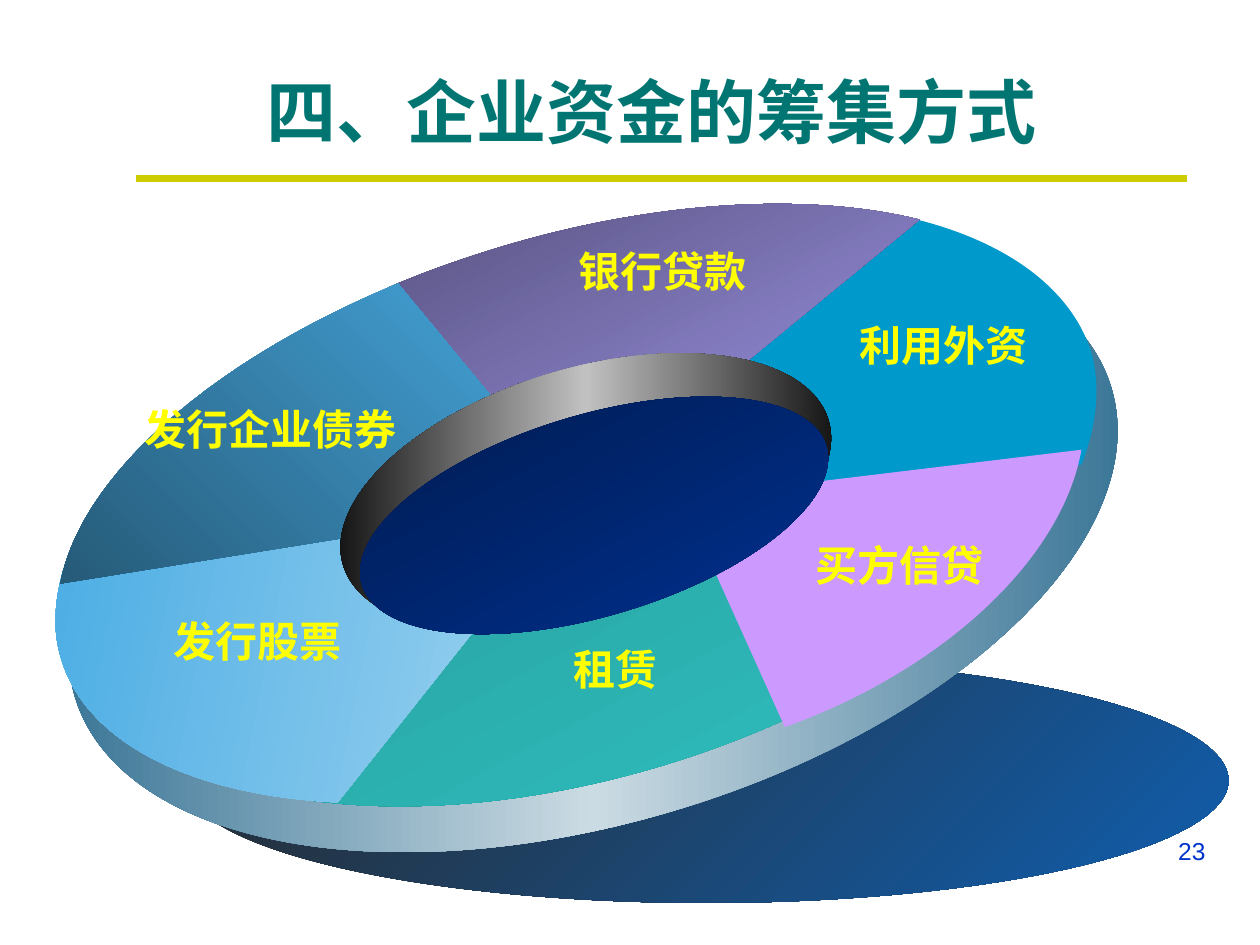
from copy import deepcopy
from math import cos, radians, sin
from pptx import Presentation
from pptx.dml.color import RGBColor as RGB
from pptx.enum.shapes import MSO_CONNECTOR as Link, MSO_SHAPE as Form
from pptx.enum.text import MSO_ANCHOR as Anchor, PP_ALIGN as Align
from pptx.oxml.ns import qn
from pptx.util import Pt

TEAL = RGB(0x00, 0x75, 0x72)
OLIVE = RGB(0xCC, 0xCC, 0x00)
BLUE = RGB(0x00, 0x33, 0xCC)
YELLOW = RGB(0xFF, 0xFF, 0x00)
CYAN = RGB(0x00, 0x99, 0xCC)
PINK = RGB(0xCC, 0x99, 0xFF)
SHADE = RGB(0x29, 0x29, 0x29), RGB(0x10, 0x5E, 0xAE)
STEEL = RGB(0x29, 0x69, 0x8D), RGB(0xCB, 0xDB, 0xE3), RGB(0x29, 0x69, 0x8D)
GREEN = RGB(0x20, 0x82, 0x82), RGB(0x33, 0xCC, 0xCC)
SKY = RGB(0xAB, 0xD9, 0xF2), RGB(0x47, 0xAB, 0xE3)
PURPLE = RGB(0x4F, 0x4A, 0x73), RGB(0xAA, 0xA0, 0xF8)
DEEP = RGB(0x47, 0xAB, 0xE3), RGB(0x21, 0x4F, 0x69)
METAL = RGB(0x00, 0x00, 0x00), RGB(0xC1, 0xC1, 0xC1), RGB(0x00, 0x00, 0x00)
NAVY = RGB(0x00, 0x18, 0x47), RGB(0x00, 0x33, 0x99)

TILT = 343.4
HUB = (300, 172)
SECTORS = [
    (CYAN, 0, HUB, [(490, 10.5), (545, 23.5), (582, 51), (593.5, 87),
                    (599, 106), (597, 128.5), (588, 151.5)]),
    (SKY, 191, HUB, [(6.5, 210.5), (1, 229.5), (0, 246.5), (5, 262.5),
                     (19, 309.5), (78, 340.5), (163, 344.5)]),
    (PURPLE, 62, HUB, [(192.5, 50), (213.5, 41), (235, 33.5), (256.5, 27),
                       (343, 1), (431, -4.5), (495.5, 11.5)]),
    (DEEP, 135, HUB, [(197.5, 48), (91, 92), (16, 158), (4.5, 219.5)]),
    (PINK, 0, (359.5, 170.5), [(588, 143), (577, 205), (510, 268.5), (418.5, 301.5)]),
]
LABELS = [
    ("发行企业债券 ", 127.5, 131), ("银行贷款", 348.5, 40.5), ("利用外资 ", 512, 83),
    ("买方信贷 ", 487, 208.5), ("租赁 ", 324.5, 268), ("发行股票 ", 120, 252),
]


def paint(shape, tint, angle=0):
    """Fill a shape with one colour or an evenly spaced gradient, clockwise angle."""
    shape.shadow.inherit = False
    shape.line.fill.background()
    fill = shape.fill
    if isinstance(tint, RGB):
        fill.solid()
        fill.fore_color.rgb = tint
        return
    fill.gradient()
    fill.gradient_angle = (360 - angle) % 360
    grad = shape._element.spPr.find(qn("a:gradFill"))
    grad.set("rotWithShape", "0")
    stops = grad.find(qn("a:gsLst"))
    for _ in tint[2:]:
        stops.append(deepcopy(stops[0]))
    for n, (stop, hue) in enumerate(zip(fill.gradient_stops, tint)):
        stop.position = n / (len(tint) - 1)
        stop.color.rgb = hue


def write(slide, box, text, size, color, font="Arial", bold=False, align=Align.CENTER):
    """Place one line of text in a box and return its frame."""
    frame = slide.shapes.add_textbox(*map(Pt, box)).text_frame
    frame.word_wrap = True
    para = frame.paragraphs[0]
    para.text = text
    para.alignment = align
    face = para.font
    face.name, face.size, face.bold = font, Pt(size), bold
    face.color.rgb = color
    return frame


def oval(slide, left, top, part, tint, angle=0, turn=TILT):
    """Draw an ellipse relative to the ring's corner."""
    x, y, wide, high = part
    shape = slide.shapes.add_shape(Form.OVAL, Pt(left + x), Pt(top + y), Pt(wide), Pt(high))
    shape.rotation = turn
    paint(shape, tint, angle)


def spin(point, angle):
    """Turn a point clockwise about the origin."""
    x, y = point
    c, s = cos(radians(angle)), sin(radians(angle))
    return x * c - y * s, x * s + y * c


def bend(shape, count):
    """Join each three of the first segments into one cubic curve."""
    path = shape._element.spPr.find(".//" + qn("a:path"))
    lines = path.findall(qn("a:lnTo"))[:count]
    for n in range(0, count, 3):
        cubic = path.makeelement(qn("a:cubicBezTo"), {})
        lines[n].addprevious(cubic)
        for line in lines[n:n + 3]:
            cubic.append(line[0])
            path.remove(line)


def sector(slide, left, top, tint, angle, hub, knots):
    """Draw a tilted ring sector from its outer curve to the hub."""
    flat = [spin(p, -TILT) for p in knots + [hub]]
    mid = [(min(axis) + max(axis)) / 2 for axis in zip(*flat)]
    x, y = spin(mid, TILT)
    first, *rest = [(Pt(left + x + a - mid[0]), Pt(top + y + b - mid[1])) for a, b in flat]
    path = slide.shapes.build_freeform(*first)
    path.add_line_segments(rest, close=True)
    shape = path.convert_to_shape()
    bend(shape, len(knots) - 1)
    shape.rotation = TILT
    paint(shape, tint, angle)


def label(slide, left, top, text, x, y):
    """Write a sector label centred on a point."""
    pad = 13 if text.endswith(" ") else 0
    wide = 24 * len(text.strip()) + 2 * pad
    frame = write(slide, (left + x - wide / 2, top + y - 18, wide, 36), text, 24, YELLOW,
                  "Noto Sans CJK SC", True)
    frame.word_wrap = False
    frame.margin_left = frame.margin_right = Pt(7.2 if pad else 0)


def header(slide, left, top, wide, high):
    """Write the title with the rule below it."""
    frame = write(slide, (left, top, wide, high), "四、企业资金的筹集方式", 40, TEAL, bold=True)
    frame.vertical_anchor = Anchor.MIDDLE
    y = Pt(top + high + 6)
    rule = slide.shapes.add_connector(Link.STRAIGHT, Pt(left + 42), y, Pt(left + wide - 30), y)
    rule.line.color.rgb = OLIVE
    rule.line.width = Pt(4.5)
    props = rule._element.spPr
    props.append(props.makeelement(qn("a:effectLst"), {}))


def ring(slide, left, top):
    """Draw the tilted ring, its cast shade and its labels."""
    oval(slide, left, top, (75, 262, 597, 140), SHADE, 45, 0)
    oval(slide, left, top, (0, 36, 618, 320), STEEL)
    oval(slide, left, top, (4, 20.5, 597, 310), GREEN, 62)
    *back, front = SECTORS
    for item in back:
        sector(slide, left, top, *item)
    oval(slide, left, top, (160, 96.5, 289.5, 142), METAL)
    sector(slide, left, top, *front)
    for item in LABELS:
        label(slide, left, top, *item)
    oval(slide, left, top, (171, 123, 277, 115), NAVY, 62)


def main():
    """Build and save the slide."""
    deck = Presentation()
    deck.slide_width, deck.slide_height = Pt(720), Pt(540)
    slide = deck.slides.add_slide(deck.slide_layouts[6])
    header(slide, 36, 30, 672.5, 66)
    ring(slide, 30, 114)
    write(slide, (516, 474, 180, 37), "23", 14, BLUE, align=Align.RIGHT)
    deck.save("out.pptx")


if __name__ == "__main__":
    main()
